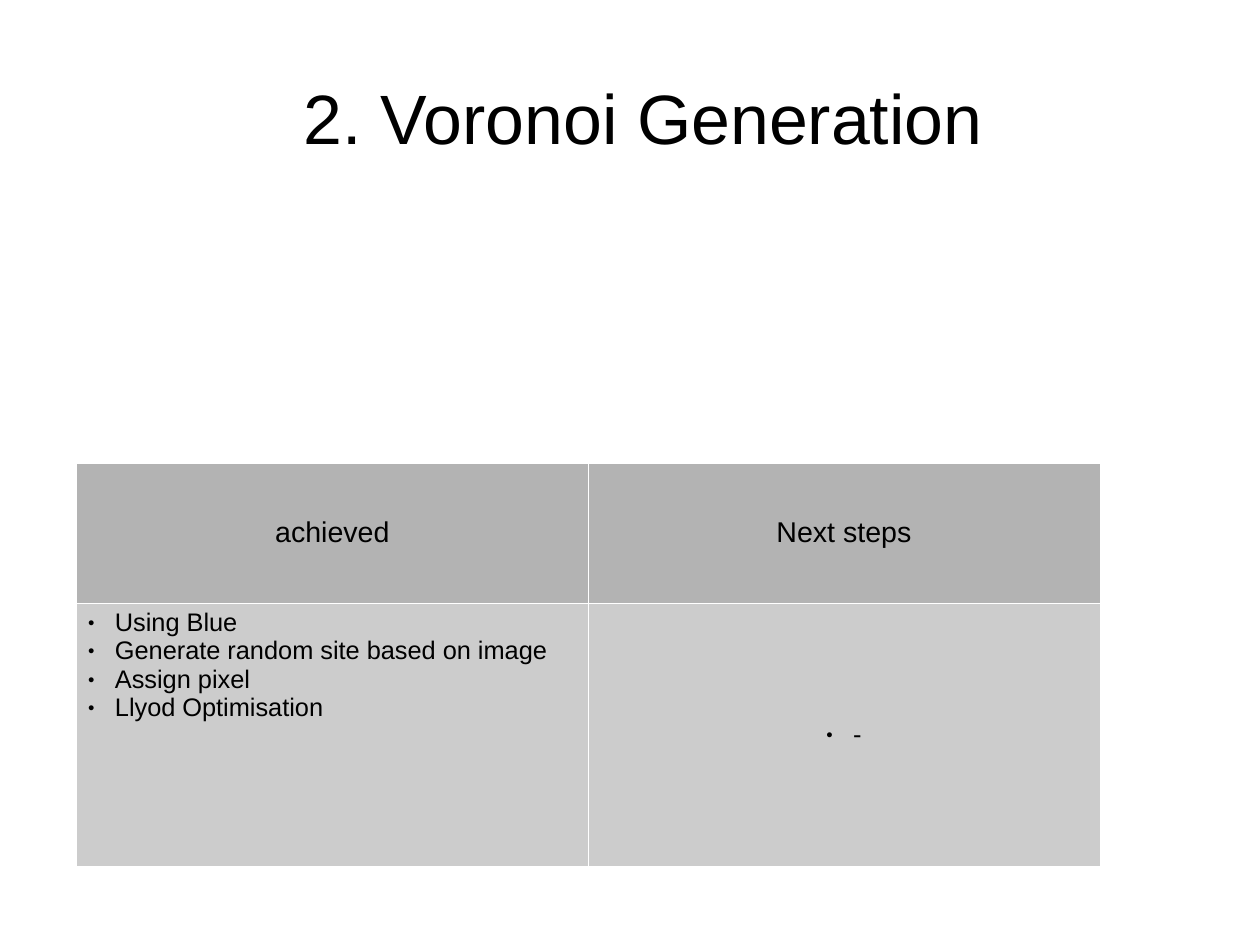
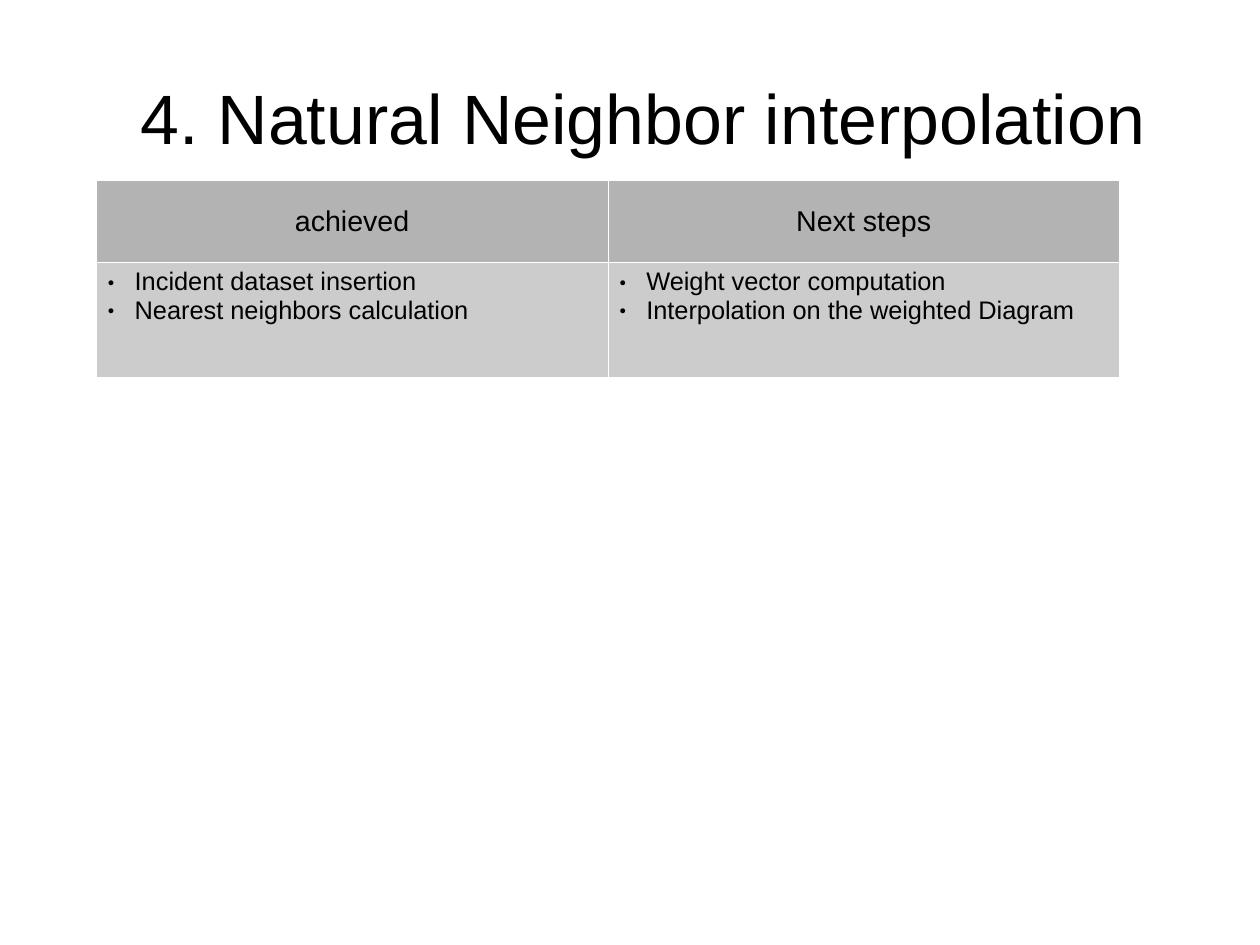
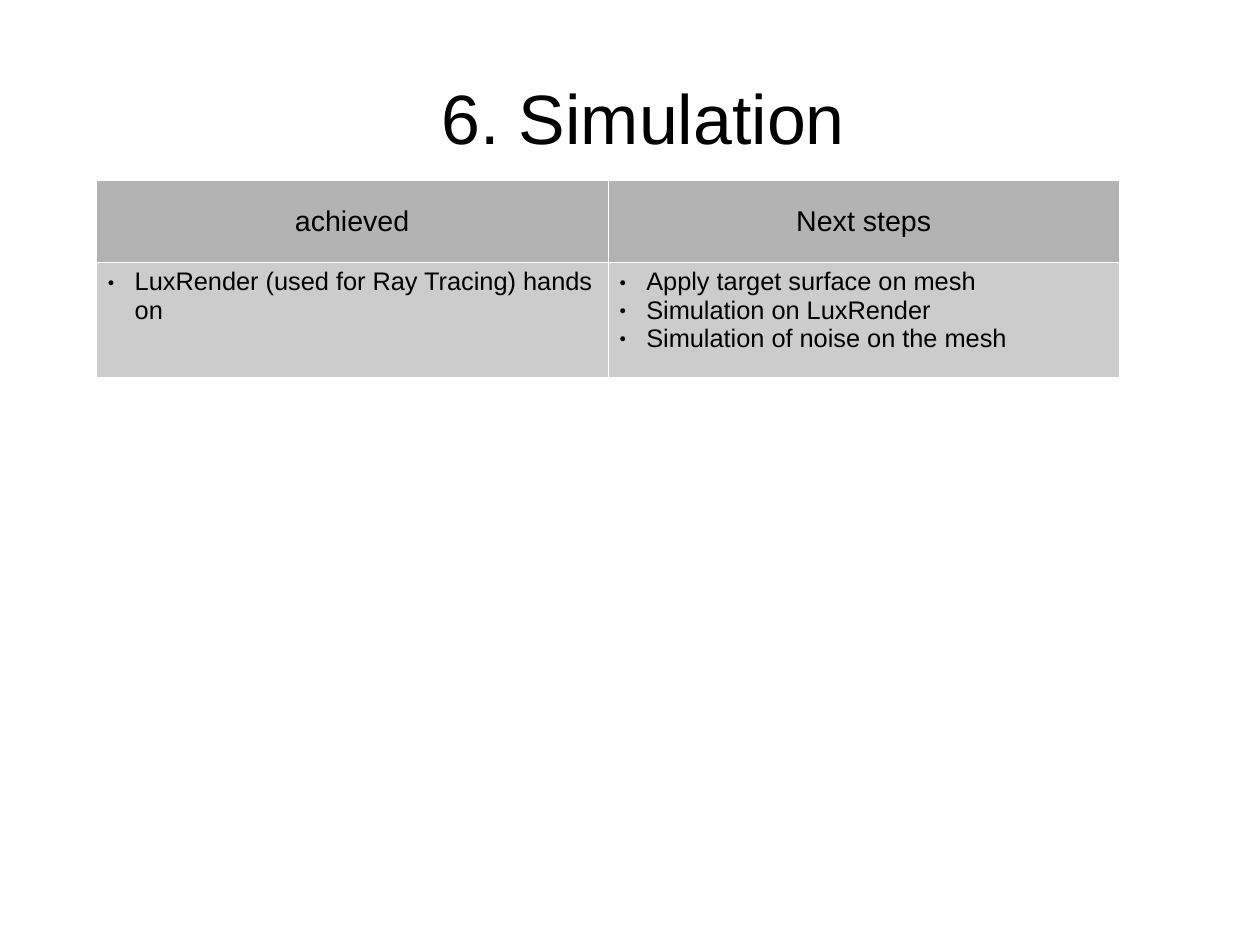
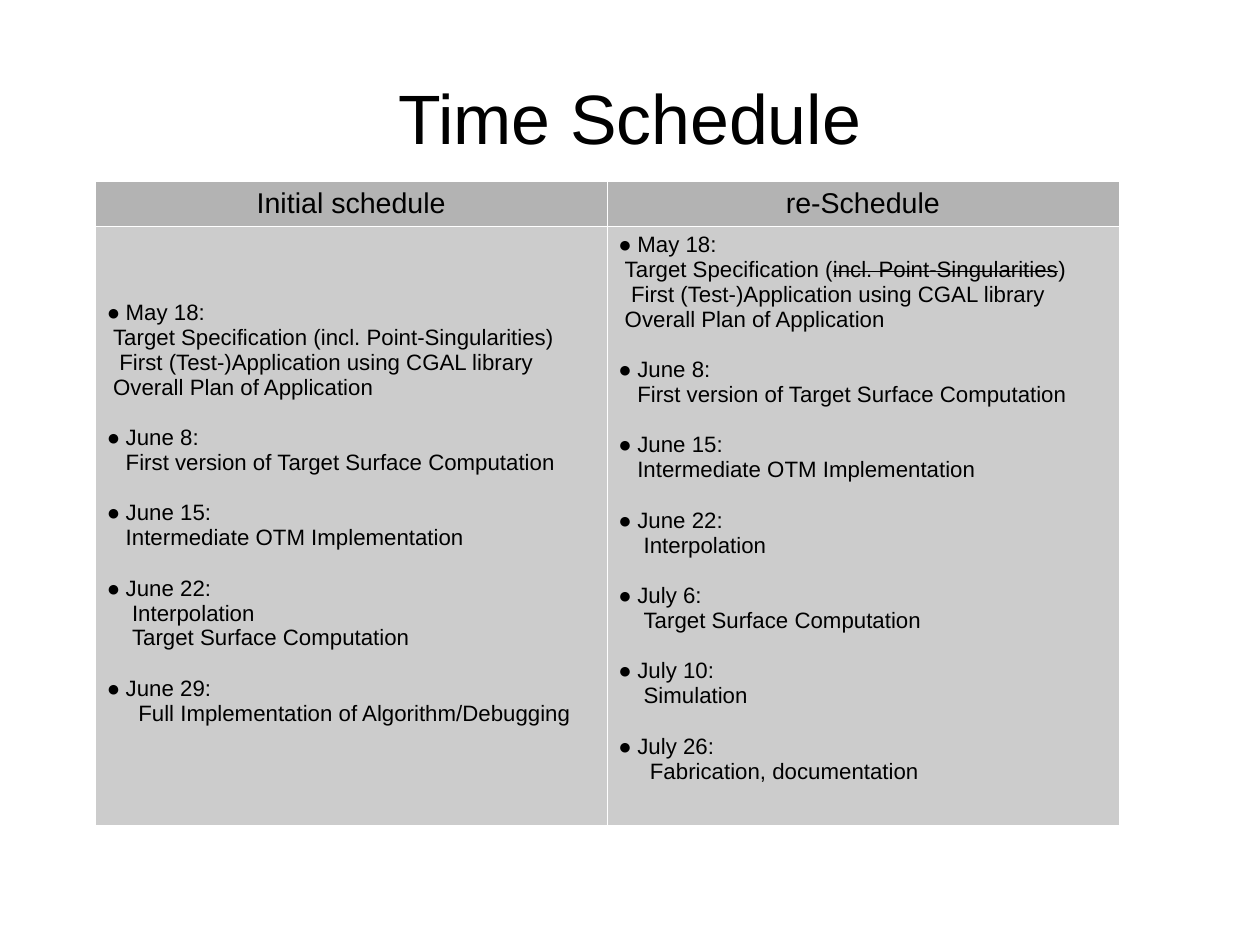
"""Build the project status slides: three progress tables and a time schedule."""
from lxml import etree
from pptx import Presentation
from pptx.dml.color import RGBColor
from pptx.enum.text import MSO_ANCHOR, MSO_AUTO_SIZE, PP_ALIGN
from pptx.oxml.ns import qn
from pptx.util import Cm, Pt

BLACK = RGBColor(0x00, 0x00, 0x00)
WHITE = RGBColor(0xFF, 0xFF, 0xFF)
HEADER_GREY = RGBColor(0xB3, 0xB3, 0xB3)
BODY_GREY = RGBColor(0xCC, 0xCC, 0xCC)
TOP, MIDDLE = MSO_ANCHOR.TOP, MSO_ANCHOR.MIDDLE
LEFT, CENTER = PP_ALIGN.LEFT, PP_ALIGN.CENTER
NO_AUTOFIT = MSO_AUTO_SIZE.NONE
FONT = "Arial"
TITLE_ONLY = 5
COLUMN_WIDTH = Cm(11.37)
LIST_INDENT = Cm(0.6)
DATE_INDENT = Cm(0.42)
STEP = 0.14
PROGRESS_HEADS = ("achieved", "Next steps")

MAY_18 = [(2, "First (Test-)Application using CGAL library"),
          (1, "Overall Plan of Application")]
JUNE = [("June 8:", [(3, "First version of Target Surface Computation")]),
        ("June 15:", [(3, "Intermediate OTM Implementation")])]
INITIAL_SCHEDULE = [
    ("May 18:", [(1, "Target Specification (incl. Point-Singularities)")] + MAY_18),
    *JUNE,
    ("June 22:", [(4, "Interpolation"), (4, "Target Surface Computation")]),
    ("June 29:", [(5, "Full Implementation of Algorithm/Debugging")]),
]
NEW_SCHEDULE = [
    ("May 18:", [(1, "Target Specification (~incl. Point-Singularities~)")] + MAY_18),
    *JUNE,
    ("June 22:", [(4, "Interpolation")]),
    ("July 6:", [(4, "Target Surface Computation")]),
    ("July 10:", [(4, "Simulation")]),
    ("July 26:", [(5, "Fabrication, documentation")]),
]


class Deck:
    """Hold the shared style and the current slide."""

    def __init__(self):
        self.presentation = Presentation()
        self.presentation.slide_width = Cm(28)
        self.presentation.slide_height = Cm(21)
        self.slide = None

    def add_slide(self, heading, indent=LIST_INDENT):
        """Start a slide with a centred title."""
        layout = self.presentation.slide_layouts[TITLE_ONLY]
        self.slide = self.presentation.slides.add_slide(layout)
        title = self.slide.shapes.title
        title.left, title.top = Cm(1.4), Cm(0.84)
        title.width, title.height = Cm(25.2), Cm(3.5)
        frame = title.text_frame
        frame.margin_left = frame.margin_right = 0
        frame.margin_top = frame.margin_bottom = 0
        frame.auto_size = NO_AUTOFIT
        frame.vertical_anchor = MIDDLE
        frame.text = heading
        paragraph = frame.paragraphs[0]
        paragraph.alignment = CENTER
        self.indent(paragraph, indent)
        self.style(paragraph, 44)

    def add_table(self, left, top, row_heights, heads):
        """Add a two-row table with its header and return the body cells."""
        width, height = COLUMN_WIDTH * len(heads), sum(row_heights)
        table = self.slide.shapes.add_table(
            2, len(heads), left, top, width, height).table
        table.first_row = table.horz_banding = False
        for row, row_height in zip(table.rows, row_heights):
            row.height = row_height
        for column, head in enumerate(heads):
            table.columns[column].width = COLUMN_WIDTH
            for row, color in enumerate((HEADER_GREY, BODY_GREY)):
                self.paint(table.cell(row, column), color)
            header = table.cell(0, column)
            header.vertical_anchor = MIDDLE
            header.text_frame.text = head
            paragraph = header.text_frame.paragraphs[0]
            paragraph.alignment = CENTER
            self.style(paragraph, 18)
        return [table.cell(1, column) for column in range(len(heads))]

    def add_list(self, cell, items, alignment=LEFT, anchor=TOP):
        """Fill a cell with small-bulleted items."""
        cell.vertical_anchor = anchor
        cell.text_frame.text = "\n".join(items)
        for paragraph in cell.text_frame.paragraphs:
            paragraph.alignment = alignment
            self.bullet(paragraph, LIST_INDENT, 45)
            self.style(paragraph, 16)

    def add_schedule(self, cell, entries, anchor=TOP):
        """Fill a cell with dates and their tasks; ~ encloses struck words."""
        cell.vertical_anchor = anchor
        frame = cell.text_frame
        for number, (date, tasks) in enumerate(entries):
            paragraph = frame.add_paragraph() if number else frame.paragraphs[0]
            paragraph.text = date
            if number:
                paragraph.space_before = Pt(16)
            self.bullet(paragraph, DATE_INDENT, 100)
            self.style(paragraph, 14)
            for steps, task in tasks:
                paragraph = frame.add_paragraph()
                self.indent(paragraph, Cm(STEP * steps))
                for part, words in enumerate(task.split("~")):
                    run = paragraph.add_run()
                    run.text = words
                    if part % 2:
                        run.font._element.set("strike", "sngStrike")
                self.style(paragraph, 14)

    @staticmethod
    def paint(cell, color):
        """Give a cell hairline white borders and a fill."""
        properties = cell._tc.get_or_add_tcPr()
        for side in ("a:lnL", "a:lnR", "a:lnT", "a:lnB"):
            border = etree.SubElement(properties, qn(side), w="720")
            fill = etree.SubElement(border, qn("a:solidFill"))
            etree.SubElement(fill, qn("a:srgbClr"), val=str(WHITE))
        cell.fill.solid()
        cell.fill.fore_color.rgb = color

    @staticmethod
    def indent(paragraph, margin, first_line=0):
        """Set the left margin and first-line indent."""
        properties = paragraph._p.get_or_add_pPr()
        properties.set("marL", str(int(margin)))
        properties.set("indent", str(int(first_line)))
        return properties

    def bullet(self, paragraph, margin, percent):
        """Hang a round bullet of the given size in the margin."""
        properties = self.indent(paragraph, margin, -margin)
        color = etree.SubElement(properties, qn("a:buClr"))
        etree.SubElement(color, qn("a:srgbClr"), val=str(BLACK))
        etree.SubElement(properties, qn("a:buSzPct"), val=str(percent * 1000))
        etree.SubElement(properties, qn("a:buFont"), typeface=FONT)
        etree.SubElement(properties, qn("a:buChar"), char="●")

    @staticmethod
    def style(paragraph, size):
        """Apply the shared font to every run."""
        for run in paragraph.runs:
            run.font.name = FONT
            run.font.size = Pt(size)
            run.font.bold = False
            run.font.color.rgb = BLACK


def main():
    """Build and save the slides."""
    deck = Deck()

    deck.add_slide("2. Voronoi Generation")
    achieved, next_steps = deck.add_table(
        Cm(1.7), Cm(10.28), (Cm(3.12), Cm(5.84)), PROGRESS_HEADS)
    deck.add_list(achieved, ["Using Blue", "Generate random site based on image",
                             "Assign pixel", "Llyod Optimisation"])
    deck.add_list(next_steps, ["-"], CENTER, MIDDLE)

    progress = [
        ("4. Natural Neighbor interpolation",
         ["Incident dataset insertion", "Nearest neighbors calculation"],
         ["Weight vector computation", "Interpolation on the weighted Diagram"]),
        ("6. Simulation",
         ["LuxRender (used for Ray Tracing) hands on"],
         ["Apply target surface on mesh", "Simulation on LuxRender",
          "Simulation of noise on the mesh"]),
    ]
    for heading, *lists in progress:
        deck.add_slide(heading)
        cells = deck.add_table(
            Cm(2.14), Cm(4), (Cm(1.83), Cm(2.56)), PROGRESS_HEADS)
        for cell, items in zip(cells, lists):
            deck.add_list(cell, items)

    deck.add_slide("Time Schedule", 0)
    initial, revised = deck.add_table(
        Cm(2.12), Cm(4.03), (Cm(1), Cm(13.3)), ("Initial schedule", "re-Schedule"))
    initial.margin_bottom = Cm(0.69)
    deck.add_schedule(initial, INITIAL_SCHEDULE, MIDDLE)
    deck.add_schedule(revised, NEW_SCHEDULE)

    deck.presentation.save("out.pptx")


if __name__ == "__main__":
    main()
